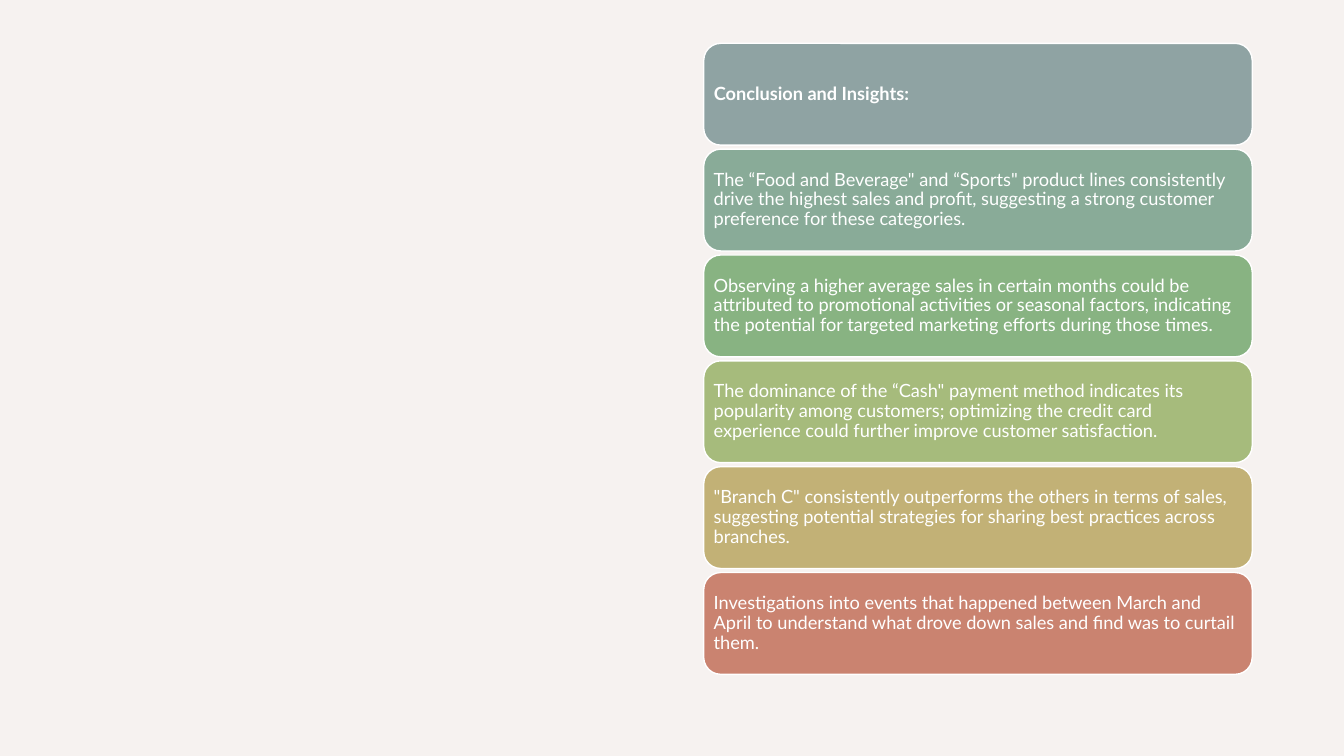
from dataclasses import dataclass

from pptx import Presentation
from pptx.dml.color import RGBColor
from pptx.enum.shapes import MSO_SHAPE
from pptx.enum.text import MSO_ANCHOR, MSO_AUTO_SIZE, PP_ALIGN
from pptx.shapes.autoshape import Shape
from pptx.slide import Slide
from pptx.util import Inches, Pt

COLORS = {
    "background": "F6F2F0",
    "white": "FFFFFF",
    "slate": "8FA3A3",
    "sage": "89AB98",
    "green": "88B382",
    "olive": "A6BB7C",
    "sand": "C2B176",
    "coral": "CA8370",
}

CARD_LEFT, CARD_TOP = 6.98, 0.43
CARD_WIDTH, CARD_HEIGHT = 5.44, 1.01
CARD_PITCH = 1.05
INSET = 0.05


@dataclass(frozen=True)
class Insight:
    color: str
    text: str = ""


HEADING = "Conclusion and Insights:"
INSIGHTS = [
    Insight("slate"),
    Insight("sage", "The “Food and Beverage\" and “Sports\" product lines consistently drive "
            "the highest sales and profit, suggesting a strong customer preference for "
            "these categories."),
    Insight("green", "Observing a higher average sales in certain months could be attributed "
            "to promotional activities or seasonal factors, indicating the potential for "
            "targeted marketing efforts during those times."),
    Insight("olive", "The dominance of the “Cash\" payment method indicates its popularity "
            "among customers; optimizing the credit card experience could further improve "
            "customer satisfaction."),
    Insight("sand", "\"Branch C\" consistently outperforms the others in terms of sales, "
            "suggesting potential strategies for sharing best practices across branches."),
    Insight("coral", "Investigations into events that happened between March and April to "
            "understand what drove down sales and find was to curtail them."),
]


def rgb(name: str) -> RGBColor:
    return RGBColor.from_string(COLORS[name])


def write_text(shape: Shape, text: str, *, size: float = 13, bold: bool = False,
               color: str = "white", font: str = "Lato") -> None:
    frame = shape.text_frame
    frame.word_wrap = True
    frame.auto_size = MSO_AUTO_SIZE.NONE
    frame.vertical_anchor = MSO_ANCHOR.MIDDLE
    frame.margin_left = frame.margin_right = Inches(INSET)
    frame.margin_top = frame.margin_bottom = Inches(INSET)
    paragraph = frame.paragraphs[0]
    paragraph.alignment = PP_ALIGN.LEFT
    paragraph.line_spacing = 0.9
    paragraph.space_before = Pt(0)
    paragraph.space_after = Pt(4.5)
    run = paragraph.add_run()
    run.text = text
    run.font.name = font
    run.font.size = Pt(size)
    run.font.bold = bold
    run.font.color.rgb = rgb(color)


def draw_card(slide: Slide, insight: Insight, row: int) -> None:
    card = slide.shapes.add_shape(
        MSO_SHAPE.ROUNDED_RECTANGLE, Inches(CARD_LEFT),
        Inches(CARD_TOP + row * CARD_PITCH), Inches(CARD_WIDTH), Inches(CARD_HEIGHT))
    card.shadow.inherit = False
    card.fill.solid()
    card.fill.fore_color.rgb = rgb(insight.color)
    card.line.color.rgb = rgb("white")
    card.line.width = Pt(1)
    if insight.text:
        write_text(card, insight.text)


def place_heading(slide: Slide) -> None:
    heading = slide.shapes.title
    heading.left, heading.top = Inches(CARD_LEFT + INSET), Inches(CARD_TOP + INSET)
    heading.width = Inches(CARD_WIDTH - 2 * INSET)
    heading.height = Inches(CARD_HEIGHT - 2 * INSET)
    write_text(heading, HEADING, bold=True)
    heading.element.getparent().append(heading.element)


def main() -> None:
    presentation = Presentation()
    presentation.slide_width = Inches(13.33)
    presentation.slide_height = Inches(7.5)
    slide = presentation.slides.add_slide(presentation.slide_layouts[5])
    slide.background.fill.solid()
    slide.background.fill.fore_color.rgb = rgb("background")
    for row, insight in enumerate(INSIGHTS):
        draw_card(slide, insight, row)
    place_heading(slide)
    presentation.save("out.pptx")


if __name__ == "__main__":
    main()
